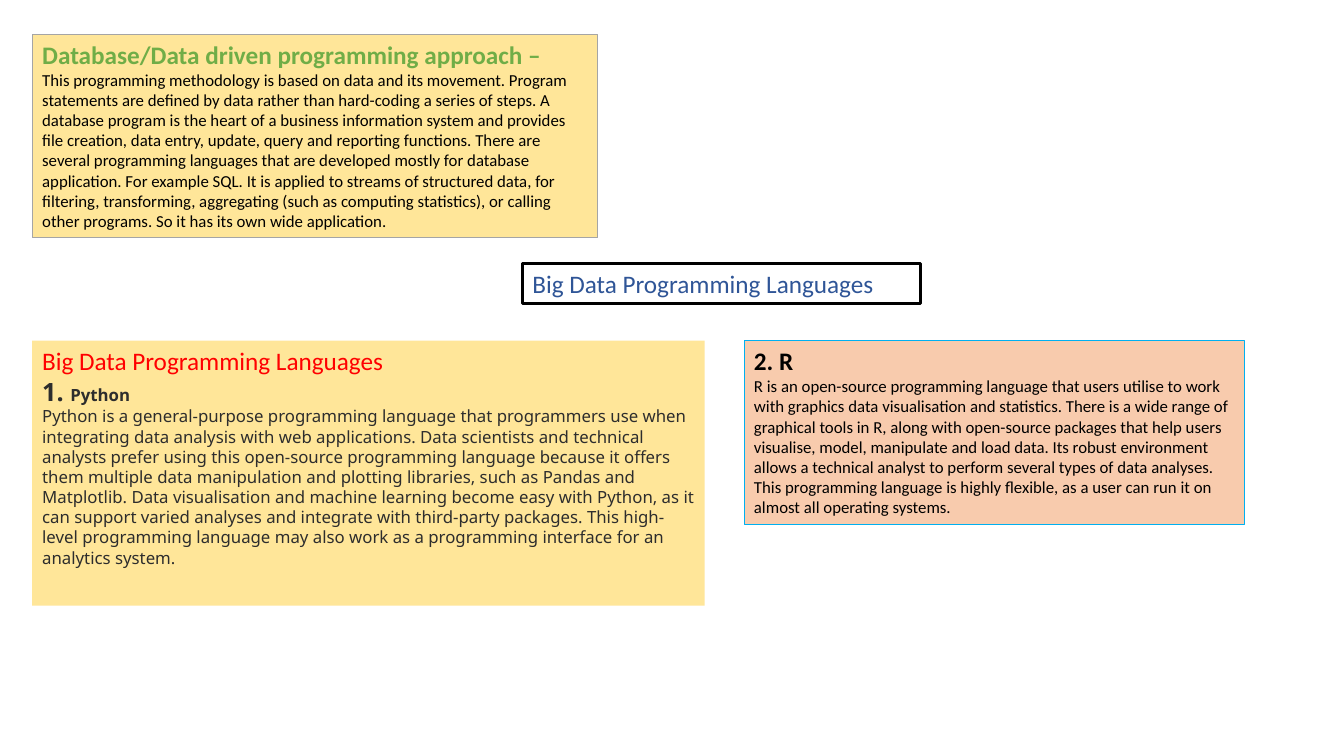
from dataclasses import dataclass

from pptx import Presentation
from pptx import util as u
from pptx.dml.color import RGBColor
from pptx.enum import text

BLACK = RGBColor(0x00, 0x00, 0x00)
CHARCOAL = RGBColor(0x2D, 0x2D, 0x2D)
RED = RGBColor(0xFF, 0x00, 0x00)
GREEN = RGBColor(0x70, 0xAD, 0x47)
NAVY = RGBColor(0x2F, 0x55, 0x97)
GRAY = RGBColor(0xA5, 0xA5, 0xA5)
CYAN = RGBColor(0x00, 0xB0, 0xF0)
YELLOW = RGBColor(0xFF, 0xE6, 0x99)
PEACH = RGBColor(0xF8, 0xCB, 0xAD)

LEFT = 0.32
LOWER_TOP = 3.38
HEADING = 18
BODY = 12


@dataclass
class Span:
    words: str
    size: float = BODY
    color: RGBColor = BLACK
    bold: bool = False
    font: str = "Calibri"


@dataclass
class Line:
    spans: list[Span]
    spacing: float | None = None  # exact line height in points


@dataclass
class Panel:
    left: float
    top: float
    width: float
    height: float
    lines: list[Line]
    fill: RGBColor | None = None
    border: RGBColor | None = None
    border_width: float = 0.75


def add_span(para, words: str, *, size: float, color: RGBColor, bold: bool, font: str) -> None:
    span = para.add_run()
    span.text = words
    span.font.size = u.Pt(size)
    span.font.color.rgb = color
    span.font.bold = bold
    span.font.name = font


def format_panel(box, panel: Panel) -> None:
    """Place a text box or placeholder, paint it and write its lines."""
    box.left, box.top = u.Inches(panel.left), u.Inches(panel.top)
    box.width, box.height = u.Inches(panel.width), u.Inches(panel.height)
    if panel.fill is not None:
        box.fill.solid()
        box.fill.fore_color.rgb = panel.fill
    if panel.border is not None:
        box.line.color.rgb = panel.border
        box.line.width = u.Pt(panel.border_width)

    frame = box.text_frame
    frame.word_wrap = True
    frame.auto_size = text.MSO_AUTO_SIZE.NONE
    frame.vertical_anchor = text.MSO_ANCHOR.TOP
    frame.margin_left = frame.margin_right = u.Inches(0.1)
    frame.margin_top = frame.margin_bottom = u.Inches(0.05)
    for index, line in enumerate(panel.lines):
        para = frame.add_paragraph() if index else frame.paragraphs[0]
        para.alignment = text.PP_ALIGN.LEFT
        para.space_before = u.Pt(0)
        if line.spacing is not None:
            para.line_spacing = u.Pt(line.spacing)
        for span in line.spans:
            add_span(para, span.words, size=span.size, color=span.color,
                     bold=span.bold, font=span.font)


TITLE = Panel(
    5.18, 2.61, 3.95, 0.4,
    [Line([Span("Big Data Programming Languages", HEADING, NAVY)])],
    border=BLACK, border_width=2.25,
)

PANELS = [
    # Data driven approach
    Panel(LEFT, 0.34, 5.61, 2.02, [
        Line([Span("Database/Data driven programming approach –", HEADING, GREEN, True)]),
        Line([Span(
            "This programming methodology is based on data and its movement. Program "
            "statements are defined by data rather than hard-coding a series of steps. "
            "A database program is the heart of a business information system and "
            "provides file creation, data entry, update, query and reporting functions. "
            "There are several programming languages that are developed mostly for "
            "database application. For example SQL. It is applied to streams of "
            "structured data, for filtering, transforming, aggregating (such as "
            "computing statistics), or calling other programs. So it has its own wide "
            "application.")]),
    ], YELLOW, GRAY),
    # Python
    Panel(LEFT, LOWER_TOP, 6.67, 2.63, [
        Line([Span("Big Data Programming Languages", HEADING, RED)]),
        Line([Span("1. ", HEADING, CHARCOAL, True, "Noto Sans"),
              Span("Python", BODY, CHARCOAL, True, "Noto Sans")], 21.6),
        Line([Span(
            "Python is a general-purpose programming language that programmers use when "
            "integrating data analysis with web applications. Data scientists and "
            "technical analysts prefer using this open-source programming language "
            "because it offers them multiple data manipulation and plotting libraries, "
            "such as Pandas and Matplotlib. Data visualisation and machine learning "
            "become easy with Python, as it can support varied analyses and integrate "
            "with third-party packages. This high-level programming language may also "
            "work as a programming interface for an analytics system.",
            BODY, CHARCOAL, font="Noto Sans")], 14.4),
    ], YELLOW),
    # R
    Panel(7.38, LOWER_TOP, 4.96, 1.82, [
        Line([Span("2. R", HEADING, bold=True)]),
        Line([Span(
            "R is an open-source programming language that users utilise to work with "
            "graphics data visualisation and statistics. There is a wide range of "
            "graphical tools in R, along with open-source packages that help users "
            "visualise, model, manipulate and load data. Its robust environment allows "
            "a technical analyst to perform several types of data analyses. This "
            "programming language is highly flexible, as a user can run it on almost "
            "all operating systems.")]),
    ], PEACH, CYAN),
]


def main() -> None:
    deck = Presentation()
    deck.slide_width, deck.slide_height = u.Inches(13.33), u.Inches(7.5)
    page = deck.slides.add_slide(deck.slide_layouts.get_by_name("Title Only"))

    format_panel(page.shapes.title, TITLE)
    for panel in PANELS:
        format_panel(page.shapes.add_textbox(0, 0, 0, 0), panel)

    deck.save("out.pptx")


if __name__ == "__main__":
    main()
